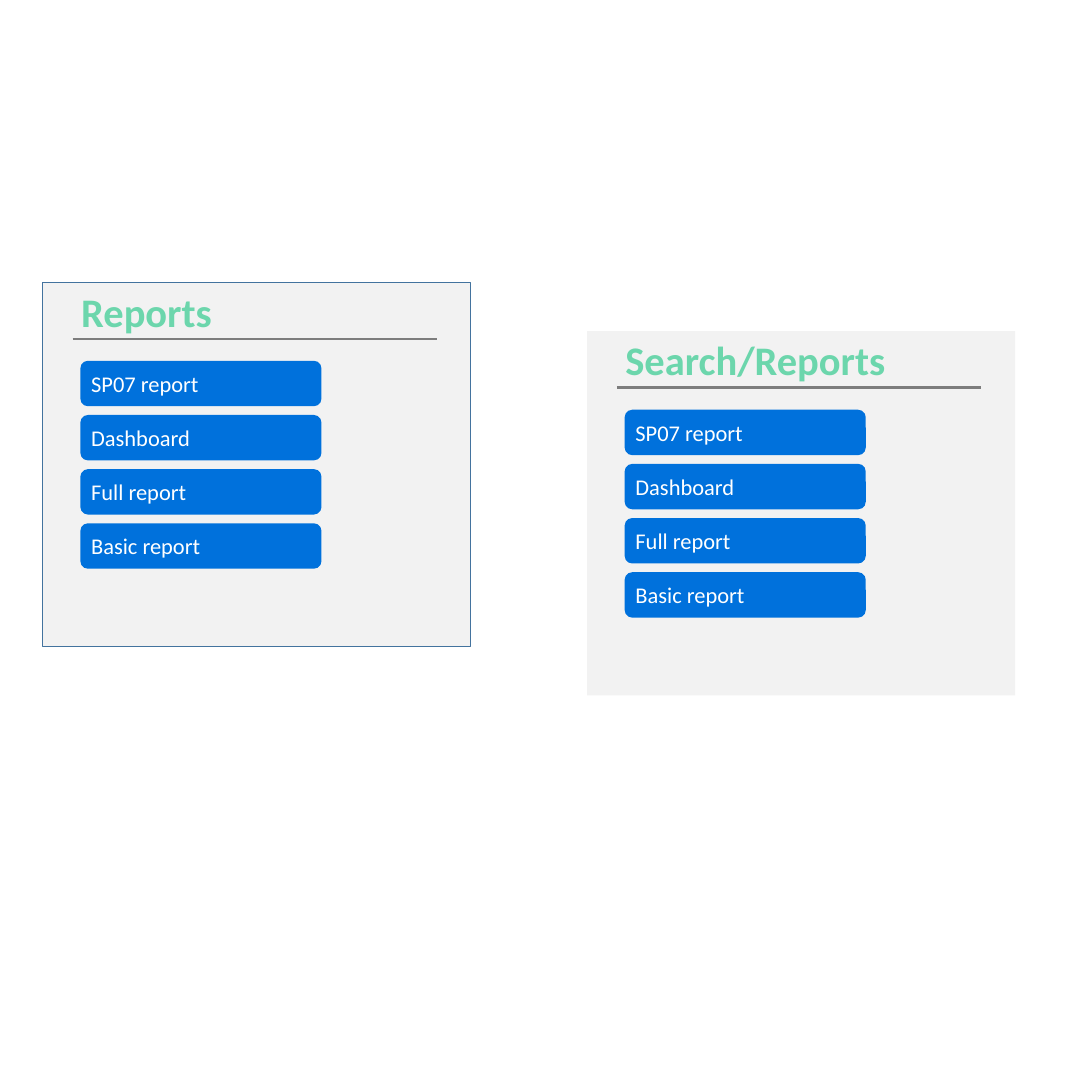
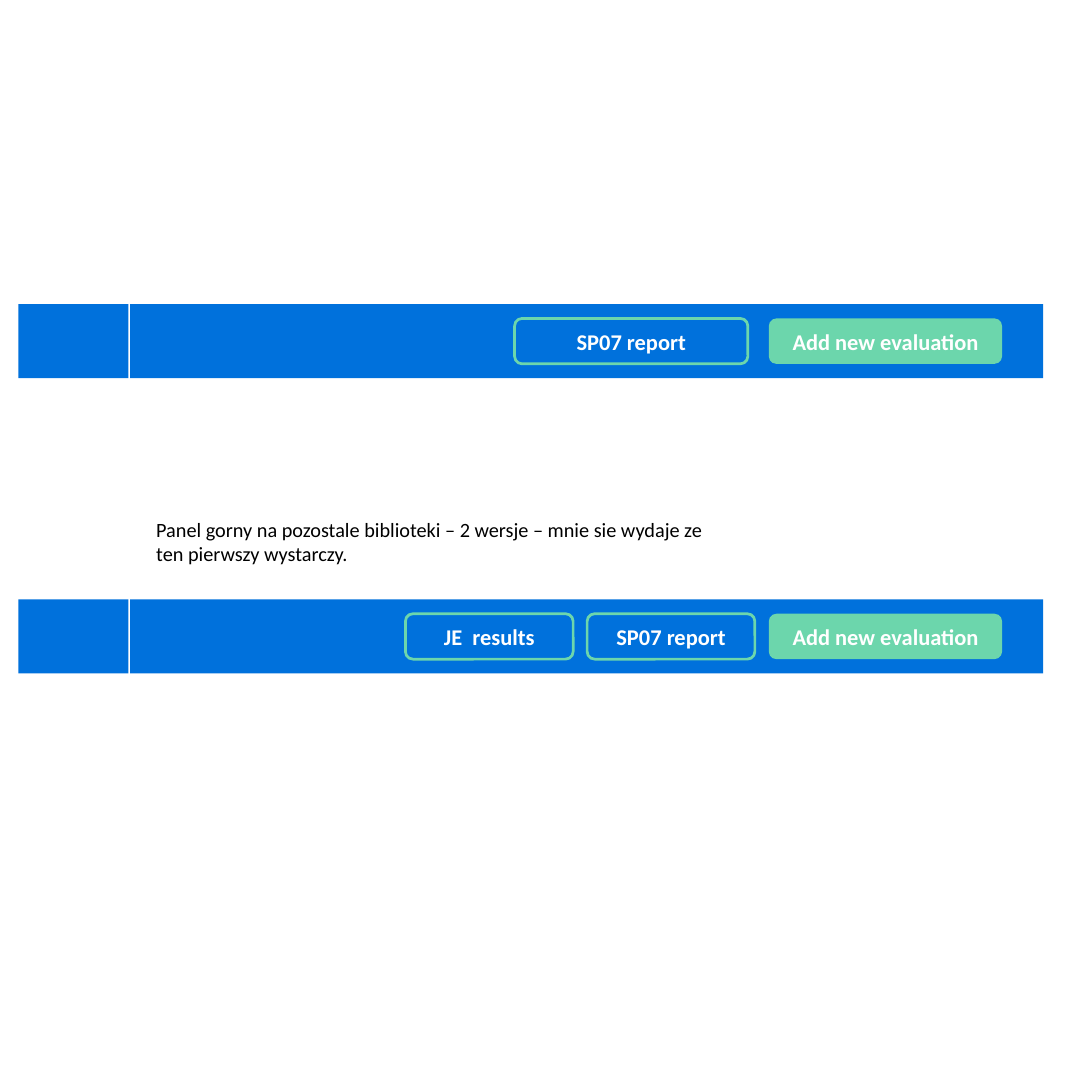
from lxml import etree
from pptx import Presentation
from pptx.dml.color import RGBColor
from pptx.enum.shapes import MSO_CONNECTOR, MSO_SHAPE
from pptx.enum.text import MSO_ANCHOR, MSO_AUTO_SIZE, PP_ALIGN
from pptx.oxml.ns import qn
from pptx.util import Inches, Pt

RECT, ROUNDED = MSO_SHAPE.RECTANGLE, MSO_SHAPE.ROUNDED_RECTANGLE
STRAIGHT = MSO_CONNECTOR.STRAIGHT
TOP, MIDDLE = MSO_ANCHOR.TOP, MSO_ANCHOR.MIDDLE
LEFT, CENTER = PP_ALIGN.LEFT, PP_ALIGN.CENTER
NO_AUTOSIZE = MSO_AUTO_SIZE.NONE
TITLE_ONLY, BLANK = 5, 6

FONT = "Calibri"
BLUE, MINT, WHITE, BLACK = "0071DC", "6CD6AC", "FFFFFF", "000000"
PANEL_GREY, PANEL_BORDER, RULE_GREY = "F2F2F2", "43739E", "7D7D7D"

REPORTS = ["SP07 report", "Dashboard", "Full report", "Basic report"]
PANELS = [
    {"heading": "Reports", "left": 0.49, "top": 3.23, "border": PANEL_BORDER},
    {"heading": "Search/Reports", "left": 6.72, "top": 3.79, "border": None},
]
ADD_BUTTON = ("Add new evaluation", 8.8, 2.67, MINT)
TOOLBARS = [
    (3.48, [ADD_BUTTON, ("SP07 report", 5.89, 2.67, None)]),
    (6.86, [ADD_BUTTON, ("SP07 report", 6.72, 1.92, None),
            ("JE  results", 4.64, 1.92, None)]),
]
NOTE = ("Panel gorny na pozostale biblioteki – 2 wersje – "
        "mnie sie wydaje ze ten pierwszy wystarczy.")

PANEL_WIDTH, PANEL_HEIGHT = 4.9, 4.17
HEADING_INDENT, HEADING_WIDTH, HEADING_HEIGHT = 0.34, 6.57, 0.66
RULE_DROP, RULE_WIDTH = 0.65, 4.17
BUTTON_HEIGHT = 0.52
REPORT_INDENT, REPORT_DROP, REPORT_WIDTH, REPORT_PITCH = 0.43, 0.9, 2.76, 0.62
BAR_HEIGHT = 0.85
BAR_PARTS = [(0.21, 1.26), (1.49, 10.45)]


def rgb(value):
    return RGBColor.from_string(value)


def write(holder, text, size=18.5, color=WHITE, bold=False, align=LEFT, anchor=MIDDLE):
    frame = holder.text_frame
    frame.word_wrap = True
    frame.auto_size = NO_AUTOSIZE
    frame.vertical_anchor = anchor
    paragraph = frame.paragraphs[0]
    paragraph.alignment = align
    run = paragraph.add_run()
    run.text = text
    run.font.name = FONT
    run.font.size = Pt(size)
    run.font.bold = bold
    run.font.color.rgb = rgb(color)


def box(slide, kind, left, top, width, height, fill=None, border=None, weight=1):
    shape = slide.shapes.add_shape(
        kind, Inches(left), Inches(top), Inches(width), Inches(height))
    shape.shadow.inherit = False
    if fill:
        shape.fill.solid()
        shape.fill.fore_color.rgb = rgb(fill)
    else:
        shape.fill.background()
    if border:
        shape.line.color.rgb = rgb(border)
        shape.line.width = Pt(weight)
    else:
        shape.line.fill.background()
    return shape


def rule(slide, left, top, width):
    line = slide.shapes.add_connector(
        STRAIGHT, Inches(left), Inches(top), Inches(left + width), Inches(top))
    line.line.color.rgb = rgb(RULE_GREY)
    line.line.width = Pt(2.25)
    etree.SubElement(line._element.spPr, qn("a:effectLst"))


def heading(slide, text, left, top):
    place = [Inches(n) for n in (left, top, HEADING_WIDTH, HEADING_HEIGHT)]
    title = slide.shapes.title
    if title.has_text_frame and not title.text_frame.text:
        title.left, title.top, title.width, title.height = place
        slide.shapes._spTree.append(title._element)
    else:
        title = slide.shapes.add_textbox(*place)
    write(title, text, size=33.4, color=MINT, bold=True, anchor=TOP)


def report_panel(slide, panel):
    left, top = panel["left"], panel["top"]
    box(slide, RECT, left, top, PANEL_WIDTH, PANEL_HEIGHT, PANEL_GREY, panel["border"])
    heading(slide, panel["heading"], left + HEADING_INDENT, top)
    rule(slide, left + HEADING_INDENT, top + RULE_DROP, RULE_WIDTH)
    for row, report in enumerate(REPORTS):
        button = box(slide, ROUNDED, left + REPORT_INDENT,
                     top + REPORT_DROP + row * REPORT_PITCH,
                     REPORT_WIDTH, BUTTON_HEIGHT, BLUE)
        write(button, report)


def toolbar(slide, top, buttons):
    for left, width in BAR_PARTS:
        box(slide, RECT, left, top, width, BAR_HEIGHT, BLUE)
    button_top = top + (BAR_HEIGHT - BUTTON_HEIGHT) / 2
    for label, left, width, fill in buttons:
        button = box(slide, ROUNDED, left, button_top, width, BUTTON_HEIGHT,
                     fill, None if fill else MINT, 2.25)
        write(button, label, bold=True, align=CENTER)


deck = Presentation()
deck.slide_width, deck.slide_height = Inches(12.35), Inches(12.5)

reports_slide = deck.slides.add_slide(deck.slide_layouts[TITLE_ONLY])
for panel in PANELS:
    report_panel(reports_slide, panel)

toolbar_slide = deck.slides.add_slide(deck.slide_layouts[BLANK])
for top, buttons in TOOLBARS:
    toolbar(toolbar_slide, top, buttons)
note = toolbar_slide.shapes.add_textbox(Inches(1.69), Inches(5.87), Inches(6.74), Inches(0.66))
write(note, NOTE, size=16.7, color=BLACK, anchor=TOP)

deck.save("out.pptx")
